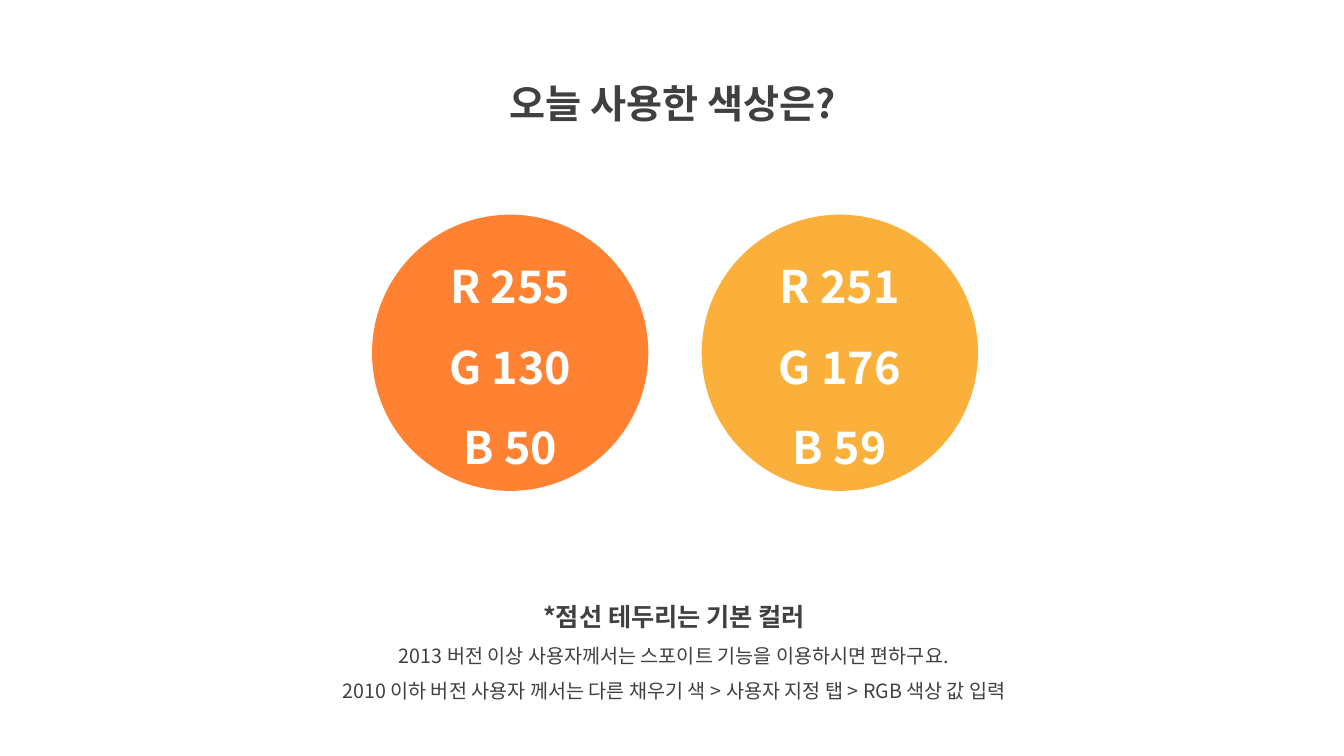
import pptx
import pptx.dml.color
import pptx.enum.shapes
import pptx.enum.text
import pptx.oxml
import pptx.oxml.ns
import pptx.util

FONT = "Noto Sans CJK KR"
DARK, WHITE = "404040", "FFFFFF"
SWATCHES = ["FF8232", "FBB03B"]
SWATCH_SIZE, SWATCH_PITCH = 2.74, 3.27


def color(value):
    return pptx.dml.color.RGBColor.from_string(value)


def place(shape, box):
    shape.left, shape.top, shape.width, shape.height = map(pptx.util.Inches, box)


def write(paragraph, text, size, fill=DARK, bold=True):
    paragraph.alignment = pptx.enum.text.PP_ALIGN.CENTER
    paragraph.line_spacing = 1.5
    paragraph.space_before = pptx.util.Pt(0)
    run = paragraph.add_run()
    run.text = text
    run.font.size = pptx.util.Pt(size)
    run.font.bold = bold
    run.font.name = FONT
    run.font.color.rgb = color(fill)
    east_asian = pptx.oxml.parse_xml(
        f'<a:ea {pptx.oxml.ns.nsdecls("a")} typeface="{FONT}"/>')
    run.font._element.find(pptx.oxml.ns.qn("a:latin")).addnext(east_asian)


def write_lines(frame, lines, anchor, **shared):
    """Write one paragraph for each (text, format) pair."""
    frame.word_wrap = True
    frame.vertical_anchor = anchor
    for index, (text, options) in enumerate(lines):
        paragraph = frame.add_paragraph() if index else frame.paragraphs[0]
        write(paragraph, text, **shared, **options)


def add_title(slide, box):
    title = slide.shapes.title
    place(title, box)
    write_lines(title.text_frame, [("오늘 사용한 색상은?", {})],
                pptx.enum.text.MSO_ANCHOR.TOP, size=28)
    title.text_frame.auto_size = pptx.enum.text.MSO_AUTO_SIZE.SHAPE_TO_FIT_TEXT


def add_swatch(slide, box, fill):
    """Draw a circle in the colour, labelled with its own RGB values."""
    circle = slide.shapes.add_shape(
        pptx.enum.shapes.MSO_SHAPE.OVAL, *map(pptx.util.Inches, box))
    circle.shadow.inherit = False
    circle.fill.solid()
    circle.fill.fore_color.rgb = color(fill)
    circle.line.fill.background()
    lines = [(f"{channel} {value}", {}) for channel, value in zip("RGB", color(fill))]
    write_lines(circle.text_frame, lines, pptx.enum.text.MSO_ANCHOR.MIDDLE,
                size=32, fill=WHITE)


def add_swatches(slide, left, top):
    for column, fill in enumerate(SWATCHES):
        box = (left + column * SWATCH_PITCH, top, SWATCH_SIZE, SWATCH_SIZE)
        add_swatch(slide, box, fill)


def add_usage_note(slide, box):
    note = slide.shapes.add_textbox(*map(pptx.util.Inches, box))
    body = {"size": 14, "bold": False}
    write_lines(note.text_frame, [
        ("*점선 테두리는 기본 컬러", {"size": 18}),
        ("2013 버전 이상 사용자께서는 스포이트 기능을 이용하시면 편하구요.", body),
        ("2010 이하 버전 사용자 께서는 다른 채우기 색 > 사용자 지정 탭 > RGB 색상 값 입력", body),
    ], pptx.enum.text.MSO_ANCHOR.TOP)
    note.text_frame.auto_size = pptx.enum.text.MSO_AUTO_SIZE.SHAPE_TO_FIT_TEXT


def main():
    presentation = pptx.Presentation()
    presentation.slide_width = pptx.util.Inches(13.33)
    presentation.slide_height = pptx.util.Inches(7.5)
    slide = presentation.slides.add_slide(
        presentation.slide_layouts.get_by_name("Title Only"))
    slide.background.fill.solid()
    slide.background.fill.fore_color.rgb = color(WHITE)
    add_title(slide, (4.36, 0.5, 4.63, 0.72))
    add_usage_note(slide, (2.69, 5.77, 7.99, 1.26))
    add_swatches(slide, 3.69, 2.13)
    presentation.save("out.pptx")


if __name__ == "__main__":
    main()
